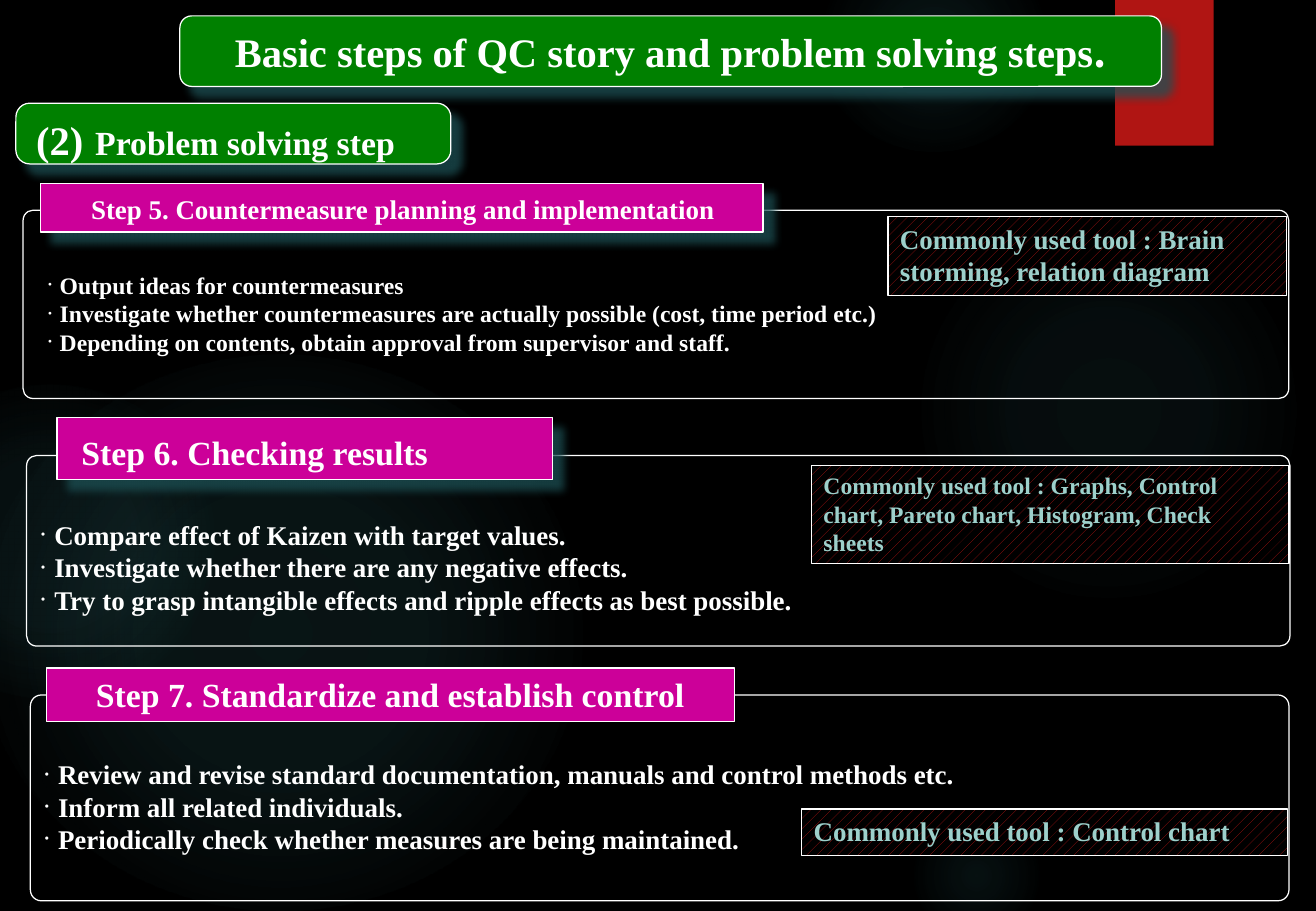
from lxml import etree
from pptx import Presentation
from pptx import util as u
from pptx.dml import color
from pptx.enum import dml, shapes, text
from pptx.oxml import ns

Pt = u.Pt
BLACK = color.RGBColor(0x00, 0x00, 0x00)
WHITE = color.RGBColor(0xFF, 0xFF, 0xFF)
RED = color.RGBColor(0xB0, 0x15, 0x13)
GREEN = color.RGBColor(0x00, 0x80, 0x00)
MAGENTA = color.RGBColor(0xCC, 0x00, 0x99)
PALE_TEAL = color.RGBColor(0x9D, 0xD0, 0xCB)
GLOW_TEAL = color.RGBColor(0x50, 0xB9, 0xC1)
SHADOW_TEAL = color.RGBColor(0x1E, 0x51, 0x55)

SERIF = "Times New Roman"
GOTHIC = "Noto Sans CJK JP"
RECT = shapes.MSO_SHAPE.RECTANGLE
ROUNDED = shapes.MSO_SHAPE.ROUNDED_RECTANGLE
TOP = text.MSO_ANCHOR.TOP
MIDDLE = text.MSO_ANCHOR.MIDDLE
LEFT = text.PP_ALIGN.LEFT
CENTER = text.PP_ALIGN.CENTER
GROW = text.MSO_AUTO_SIZE.SHAPE_TO_FIT_TEXT
INSETS = {"margin_left": Pt(7.2), "margin_right": Pt(7.2),
          "margin_top": Pt(3.6), "margin_bottom": Pt(3.6)}

GLOWS = [
    ((537, 132, 240.5, 222), ((0, 7), (36, 6), (69, 0))),
    ((485, -36, 137, 126), ((0, 14), (36, 7), (73, 0))),
    ((537, 480, 84, 78), ((0, 9), (36, 5), (66, 0))),
    ((-13, 210, 358, 330), ((0, 11), (36, 10), (75, 0))),
    ((-71.5, 228, 202, 186), ((0, 8), (36, 8), (72, 0))),
]

STEPS = [
    {"frame": (18, 412, 746, 122),
     "heading": ("Step 7. Standardize and establish control", (27.4, 396, 408, 31.7), 20),
     "heading_style": {"align": CENTER, "inset": 0},
     "shadowed": False,
     "actions": (["Review and revise standard documentation, manuals and control methods etc.",
                  "Inform all related individuals.",
                  "Periodically check whether measures are being maintained."],
                 (18, 445.7, 738, 64.8), 16),
     "tool": ("Commonly used tool : Control chart", (475.2, 479.5, 288, 27.4), 16)},
    {"frame": (15.8, 270, 748.8, 113),
     "heading": ("Step 6. Checking results", (33.8, 247.7, 293.8, 36.7), 20),
     "heading_style": {"align": LEFT, "inset": 14.4, "spacing": 1.2},
     "shadowed": True,
     "actions": (["Compare effect of Kaizen with target values.",
                  "Investigate whether there are any negative effects.",
                  "Try to grasp intangible effects and ripple effects as best possible."],
                 (15.8, 303.8, 510.5, 64.8), 16),
     "tool": ("Commonly used tool : Graphs, Control chart, Pareto chart, Histogram, Check sheets",
              (481, 275.8, 283, 58.3), 14)},
    {"frame": (13.7, 124.6, 750.2, 111.6),
     "heading": ("Step 5. Countermeasure planning and implementation",
                 (23.8, 108.7, 428.4, 28.8), 16),
     "heading_style": {"align": CENTER, "inset": 1.4, "spacing": 1.1},
     "shadowed": True,
     "actions": (["Output ideas for countermeasures",
                  "Investigate whether countermeasures are actually possible (cost, time period etc.)",
                  "Depending on contents, obtain approval from supervisor and staff."],
                 (20.2, 157, 517, 57.6), 14),
     "tool": ("Commonly used tool : Brain storming, relation diagram",
              (526.3, 128.2, 236.2, 46.8), 16)},
]


def set_values(target, values):
    """Set each named format value on the target."""
    for name, value in values.items():
        setattr(target, name, value)


def add_xml(parent, tag, **attributes):
    """Append a drawing element with the given attributes."""
    element = etree.SubElement(parent, ns.qn(tag))
    for name, value in attributes.items():
        element.set(name, str(value))
    return element


def add_tint(parent, tint, percent):
    """Append a colour with the given opacity."""
    add_xml(add_xml(parent, "a:srgbClr", val=tint), "a:alpha", val=percent * 1000)


def add_panel(slide, kind, box, fill=None, outlined=True, corner=None):
    """Add a preset shape with a plain fill and a thin white outline."""
    panel = slide.shapes.add_shape(kind, *map(Pt, box))
    panel.shadow.inherit = False
    if fill is None:
        panel.fill.background()
    else:
        panel.fill.solid()
        panel.fill.fore_color.rgb = fill
    if outlined:
        panel.line.color.rgb = WHITE
        panel.line.width = Pt(0.75)
    else:
        panel.line.fill.background()
    if corner is not None:
        panel.adjustments[0] = corner
    return panel


def add_shadow(panel):
    """Give a panel a soft teal shadow to the lower right."""
    effects = panel.element.spPr.find(ns.qn("a:effectLst"))
    shadow = add_xml(effects, "a:outerShdw", blurRad=Pt(5), dist=Pt(8.5),
                     dir=45 * 60000, algn="tl", rotWithShape=0)
    add_tint(shadow, SHADOW_TEAL, 75)


def add_glow(slide, box, stops):
    """Add a faint round glow that fades outwards."""
    glow = add_panel(slide, shapes.MSO_SHAPE.OVAL, box, outlined=False)
    properties = glow.element.spPr
    gradient = etree.Element(ns.qn("a:gradFill"))
    stop_list = add_xml(gradient, "a:gsLst")
    for position, opacity in stops:
        add_tint(add_xml(stop_list, "a:gs", pos=position * 1000), GLOW_TEAL, opacity)
    circle = add_xml(gradient, "a:path", path="circle")
    add_xml(circle, "a:fillToRect", l=50000, t=50000, r=50000, b=50000)
    properties.replace(properties.find(ns.qn("a:noFill")), gradient)


def prepare_frame(holder, **values):
    """Set the text frame defaults and return the frame."""
    frame = holder.text_frame
    set_values(frame, {**INSETS, "word_wrap": True, "vertical_anchor": TOP,
                       "auto_size": GROW, **values})
    return frame


def write_run(paragraph, words, size, tint=WHITE, font=SERIF):
    """Add a bold run to a paragraph."""
    run = paragraph.add_run()
    run.text = words
    set_values(run.font, {"size": Pt(size), "name": font, "bold": True})
    run.font.color.rgb = tint


def add_heading(slide, words, box, size, style, shadowed):
    """Add the magenta heading of a step."""
    heading = add_panel(slide, RECT, box, MAGENTA)
    if shadowed:
        add_shadow(heading)
    frame = prepare_frame(heading, margin_left=Pt(style["inset"]), margin_right=0)
    set_values(frame.paragraphs[0], {"alignment": style["align"],
                                     "line_spacing": style.get("spacing")})
    write_run(frame.paragraphs[0], words, size)


def add_actions(slide, actions, box, size):
    """Add the bulleted actions of a step."""
    frame = prepare_frame(slide.shapes.add_textbox(*map(Pt, box)))
    indent = Pt(round(size * 0.58, 1))
    for index, action in enumerate(actions):
        paragraph = frame.add_paragraph() if index else frame.paragraphs[0]
        properties = paragraph._p.get_or_add_pPr()
        set_values(paragraph, {"alignment": LEFT})
        properties.set("marL", str(indent))
        properties.set("indent", str(-indent))
        add_xml(properties, "a:buFont", typeface=SERIF)
        add_xml(properties, "a:buChar", char="·")
        write_run(paragraph, action, size)


def add_tool(slide, words, box, size):
    """Add the patterned box that names the usual tools."""
    tool = add_panel(slide, RECT, box)
    tool.fill.patterned()
    tool.fill.pattern = dml.MSO_PATTERN.PERCENT_20
    tool.fill.fore_color.rgb = RED
    tool.fill.back_color.rgb = BLACK
    frame = prepare_frame(tool)
    frame.paragraphs[0].alignment = LEFT
    write_run(frame.paragraphs[0], words, size, PALE_TEAL)


def add_titles(slide):
    """Add the green title and section banners."""
    title = add_panel(slide, ROUNDED, (106.6, 9.4, 581.8, 41.8), GREEN, corner=0.167)
    section = add_panel(slide, ROUNDED, (9.4, 61.2, 257.8, 36), GREEN, corner=0.229)
    add_shadow(title)
    add_shadow(section)
    label = slide.shapes.add_textbox(*map(Pt, (4.3, 60.5, 253.4, 41)))
    title_frame = prepare_frame(title, word_wrap=False, vertical_anchor=MIDDLE,
                                auto_size=text.MSO_AUTO_SIZE.NONE)
    label_frame = prepare_frame(label, margin_left=Pt(2.9), margin_right=Pt(2.9))
    banners = [
        (title_frame, [("Basic steps of QC story and problem solving steps", 24, SERIF),
                       (".", 24, GOTHIC)]),
        (label_frame, [("(2)", 24, SERIF), (" ", 28, SERIF),
                       ("Problem solving step", 20, SERIF), (" ", 28, GOTHIC)]),
    ]
    for frame, runs in banners:
        frame.paragraphs[0].alignment = CENTER
        for words, size, font in runs:
            write_run(frame.paragraphs[0], words, size, font=font)


def main():
    """Build the slide and save it."""
    deck = Presentation()
    set_values(deck, {"slide_width": Pt(780), "slide_height": Pt(540)})
    slide = deck.slides.add_slide(deck.slide_layouts[6])
    slide.background.fill.solid()
    slide.background.fill.fore_color.rgb = BLACK
    for box, stops in GLOWS:
        add_glow(slide, box, stops)
    add_panel(slide, RECT, (661, 0, 58.3, 86.4), RED, outlined=False)
    for step in STEPS:
        add_panel(slide, ROUNDED, step["frame"], corner=0.053)
        add_heading(slide, *step["heading"], step["heading_style"], step["shadowed"])
        add_actions(slide, *step["actions"])
        add_tool(slide, *step["tool"])
    add_titles(slide)
    deck.save("out.pptx")


if __name__ == "__main__":
    main()
